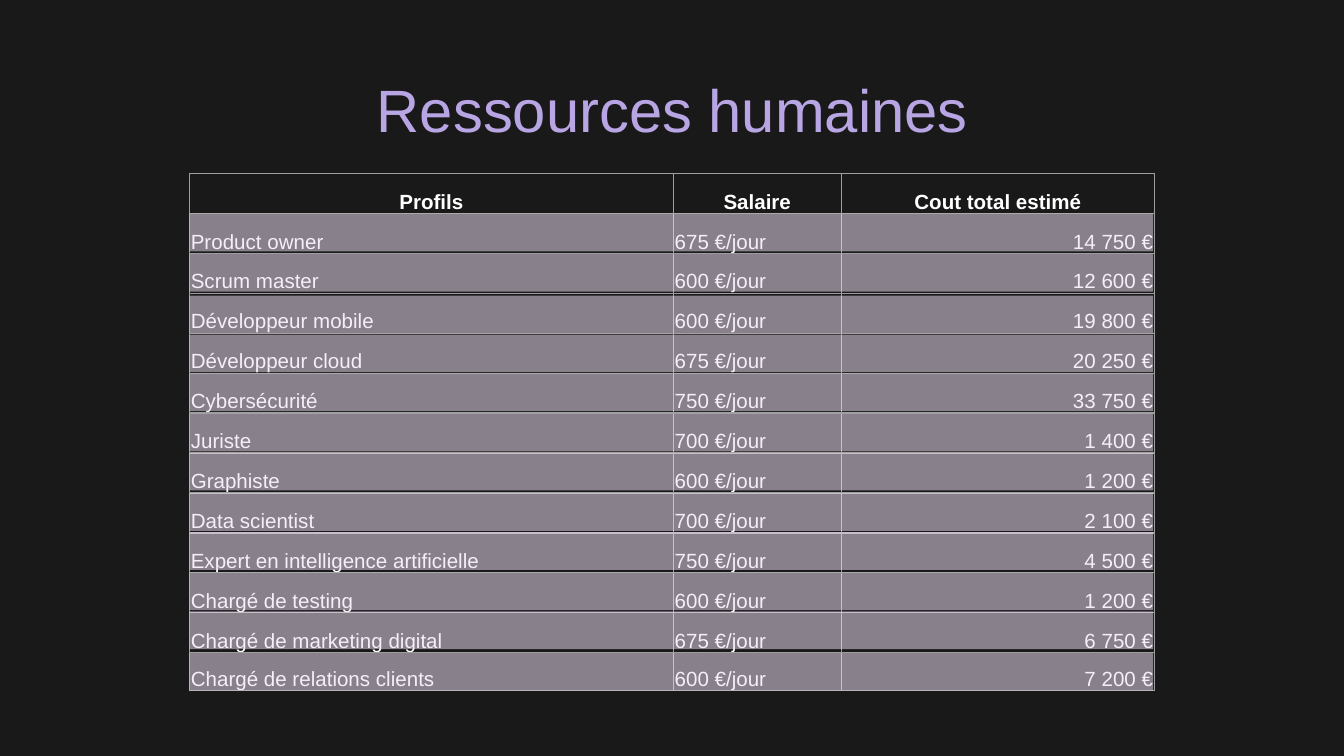
from lxml import etree
from pptx import Presentation
from pptx.dml.color import RGBColor
from pptx.enum import shapes, text
from pptx.oxml import ns
from pptx.util import Inches, Pt

LEFT, WIDTH = 1.41, 7.17
TOP, HEIGHT, LAST = 1.29, 3.85, 0.28
COLS = (3.6, 1.25, 2.33)
BARS = (1.59, 1.89, 2.2, 2.49, 2.78, 3.08, 3.37, 3.67, 3.96, 4.26, 4.55, 4.86)
ALIGN = text.PP_ALIGN
HEAD = ("Profils", "Salaire", "Cout total estimé")
STAFF = (
    ("Product owner", 675, "14 750"),
    ("Scrum master", 600, "12 600"),
    ("Développeur mobile", 600, "19 800"),
    ("Développeur cloud", 675, "20 250"),
    ("Cybersécurité", 750, "33 750"),
    ("Juriste", 700, "1 400"),
    ("Graphiste", 600, "1 200"),
    ("Data scientist", 700, "2 100"),
    ("Expert en intelligence artificielle", 750, "4 500"),
    ("Chargé de testing", 600, "1 200"),
    ("Chargé de marketing digital", 675, "6 750"),
    ("Chargé de relations clients", 600, "7 200"),
)


def color(code):
    return RGBColor.from_string(code)


def apply(item, values):
    for name, value in values.items():
        setattr(item, name, value)


def child(node, tag, **attrs):
    return etree.SubElement(node, ns.qn(tag), attrs)


def write(para, words, align, size, code, bold=False):
    run = para.add_run()
    run.text = words
    para.alignment = align
    apply(run.font, {"name": "Arial", "size": Pt(size), "bold": bold})
    run.font.color.rgb = color(code)


def add_title(slide):
    title = slide.shapes.title
    apply(title, {"left": Inches(0.79), "top": Inches(0.49),
                  "width": Inches(8.43), "height": Inches(0.63)})
    frame = title.text_frame
    apply(frame, {"vertical_anchor": text.MSO_ANCHOR.MIDDLE,
                  "auto_size": text.MSO_AUTO_SIZE.NONE, "word_wrap": True})
    apply(frame, {f"margin_{side}": Inches(0.1)
                  for side in ("left", "right", "top", "bottom")})
    write(frame.paragraphs[0], "Ressources humaines", ALIGN.CENTER, 32, "B8A5E3")


def frame_cell(cell):
    props = cell._tc.get_or_add_tcPr()
    for side in "LRTB":
        line = child(props, f"a:ln{side}", w=str(Pt(0.75)))
        child(child(line, "a:solidFill"), "a:srgbClr", val="9E9E9E")
    cell.fill.background()


def fill_cell(cell, words, align, bold):
    frame_cell(cell)
    edge = Inches(0.01)
    apply(cell, {"margin_left": edge, "margin_right": edge, "margin_top": edge,
                 "margin_bottom": 0, "vertical_anchor": text.MSO_ANCHOR.BOTTOM})
    write(cell.text_frame.paragraphs[0], words, align, 11, "FFFFFF", bold)


def add_grid(slide):
    rows = [HEAD] + [(job, f"{pay} €/jour", f"{cost} €") for job, pay, cost in STAFF]
    grid = slide.shapes.add_table(len(rows), len(COLS), Inches(LEFT), Inches(TOP),
                                  Inches(WIDTH), Inches(HEIGHT)).table
    apply(grid, {"first_row": False, "horz_banding": False})
    for col, width in zip(grid.columns, COLS):
        col.width = Inches(width)
    # All rows share one height but the shorter last one
    for row in grid.rows:
        row.height = Inches((HEIGHT - LAST) / len(STAFF))
    grid.rows[len(STAFF)].height = Inches(LAST)
    for r, row in enumerate(rows):
        aligns = (ALIGN.LEFT, ALIGN.LEFT, ALIGN.RIGHT) if r else (ALIGN.CENTER,) * 3
        for c, (words, align) in enumerate(zip(row, aligns)):
            fill_cell(grid.cell(r, c), words, align, r == 0)


def add_bar(slide, top):
    bar = slide.shapes.add_shape(shapes.MSO_SHAPE.RECTANGLE, Inches(LEFT),
                                 Inches(top), Inches(WIDTH), Inches(0.28))
    bar.shadow.inherit = False
    bar.line.fill.background()
    bar.fill.solid()
    bar.fill.fore_color.rgb = color("EFDFF4")
    tint = bar._element.spPr.find(f".//{ns.qn('a:srgbClr')}")
    child(tint, "a:alpha", val="52000")


def main():
    deck = Presentation()
    # Widescreen, 16 to 9
    apply(deck, {"slide_width": Inches(10), "slide_height": Inches(10 * 9 / 16)})
    slide = deck.slides.add_slide(deck.slide_layouts[5])
    back = slide.background.fill
    back.solid()
    back.fore_color.rgb = color("191919")
    add_title(slide)
    add_grid(slide)
    # Translucent bars over the staff rows
    for top in BARS:
        add_bar(slide, top)
    deck.save("out.pptx")


if __name__ == "__main__":
    main()
